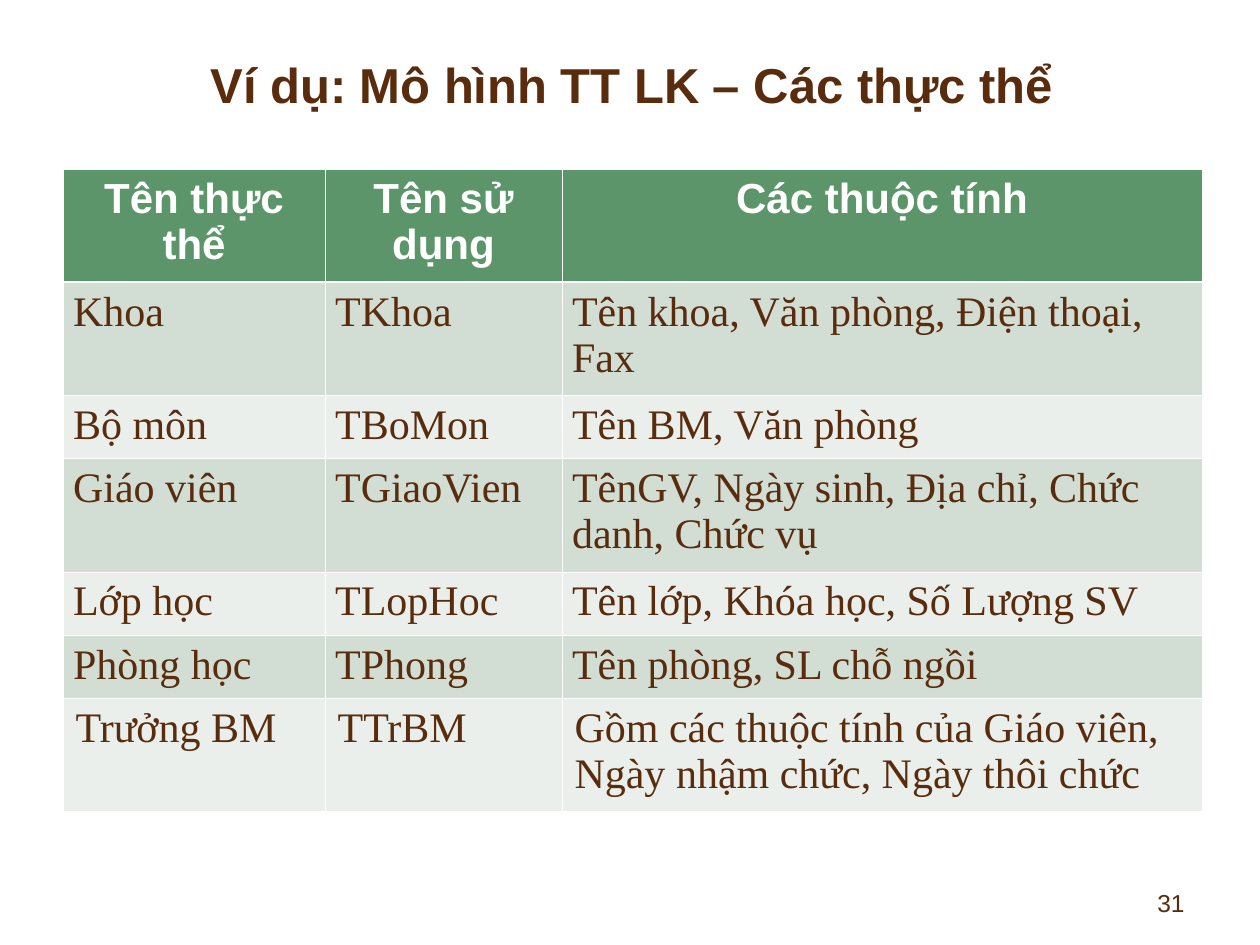
from lxml.etree import SubElement
from pptx import Presentation
from pptx.dml.color import RGBColor
from pptx.enum.text import MSO_ANCHOR as Anchor, PP_ALIGN as Align
from pptx.oxml.ns import qn
from pptx.util import Inches, Pt

BROWN = RGBColor(0x59, 0x2C, 0x0D)
WHITE = RGBColor(0xFF, 0xFF, 0xFF)
GREEN = RGBColor(0x5B, 0x95, 0x69)
BANDS = [RGBColor(0xEA, 0xEF, 0xEB), RGBColor(0xD2, 0xDD, 0xD4)]

HEADING_FONT, BODY_FONT = "Arial", "Times New Roman"
THIN, THICK = 0.45, 1.47
COLUMN_WIDTHS = [2.08, 1.88, 5.08]
TALL, DOUBLE, SINGLE = 0.9, 0.8, 0.41
ROW_HEIGHTS = [TALL, DOUBLE, SINGLE, DOUBLE, SINGLE, SINGLE, TALL]
ENTITIES = [
    ("Tên thực thể", "Tên sử dụng", "Các thuộc tính"),
    ("Khoa", "TKhoa", "Tên khoa, Văn phòng, Điện thoại, Fax"),
    ("Bộ môn", "TBoMon", "Tên BM, Văn phòng"),
    ("Giáo viên", "TGiaoVien", "TênGV, Ngày sinh, Địa chỉ, Chức danh, Chức vụ"),
    ("Lớp học", "TLopHoc", "Tên lớp, Khóa học, Số Lượng SV"),
    ("Phòng học", "TPhong", "Tên phòng, SL chỗ ngồi"),
    ("Trưởng BM", "TTrBM",
     "Gồm các thuộc tính của Giáo viên, Ngày nhậm chức, Ngày thôi chức"),
]


def write(frame, text, size, font, color, align, bold=False):
    frame.text = text
    frame.word_wrap = True
    para = frame.paragraphs[0]
    para.alignment = align
    span = para.runs[0].font
    span.size, span.name, span.bold = Pt(size), font, bold
    span.color.rgb = color


def add_text(page, box, text, size, align, anchor, bold=False):
    frame = page.shapes.add_textbox(*map(Inches, box)).text_frame
    write(frame, text, size, HEADING_FONT, BROWN, align, bold)
    frame.vertical_anchor = anchor


def set_borders(cell, top, bottom):
    """Draw white cell borders; widths in points. Call before filling the cell."""
    props = cell._tc.get_or_add_tcPr()
    for side, width in (("L", THIN), ("R", THIN), ("T", top), ("B", bottom)):
        line = SubElement(props, qn(f"a:ln{side}"), w=str(int(Pt(width))))
        fill = SubElement(line, qn("a:solidFill"))
        SubElement(fill, qn("a:srgbClr"), val=str(WHITE))


def style_cell(cell, text, row):
    header = row == 0
    set_borders(cell, THICK if row == 1 else THIN, THICK if header else THIN)
    cell.fill.solid()
    cell.fill.fore_color.rgb = GREEN if header else BANDS[row % 2]
    wide_margin = row in (0, len(ENTITIES) - 1)
    cell.margin_left = cell.margin_right = Inches(0.1 if wide_margin else 0.08)
    cell.margin_top = cell.margin_bottom = Inches(0.05)
    if header:
        write(cell.text_frame, text, 24, HEADING_FONT, WHITE, Align.CENTER, True)
    else:
        write(cell.text_frame, text, 24, BODY_FONT, BROWN, Align.LEFT)


def add_entity_table(page, box):
    table = page.shapes.add_table(
        len(ENTITIES), len(COLUMN_WIDTHS), *map(Inches, box)).table
    for column, width in zip(table.columns, COLUMN_WIDTHS):
        column.width = Inches(width)
    for row, (height, texts) in enumerate(zip(ROW_HEIGHTS, ENTITIES)):
        table.rows[row].height = Inches(height)
        for col, text in enumerate(texts):
            style_cell(table.cell(row, col), text, row)


def main():
    deck = Presentation()
    deck.slide_width, deck.slide_height = Inches(10), Inches(7.5)
    page = deck.slides.add_slide(deck.slide_layouts[6])
    add_text(page, (0.5, 0.25, 9.03, 0.84), "Ví dụ: Mô hình TT LK – Các thực thể",
             28, Align.CENTER, Anchor.MIDDLE, bold=True)
    add_entity_table(page, (0.5, 1.34, sum(COLUMN_WIDTHS), sum(ROW_HEIGHTS)))
    add_text(page, (7.17, 7, 2.33, 0.35), "31", 14, Align.RIGHT, Anchor.TOP)
    deck.save("out.pptx")


if __name__ == "__main__":
    main()
